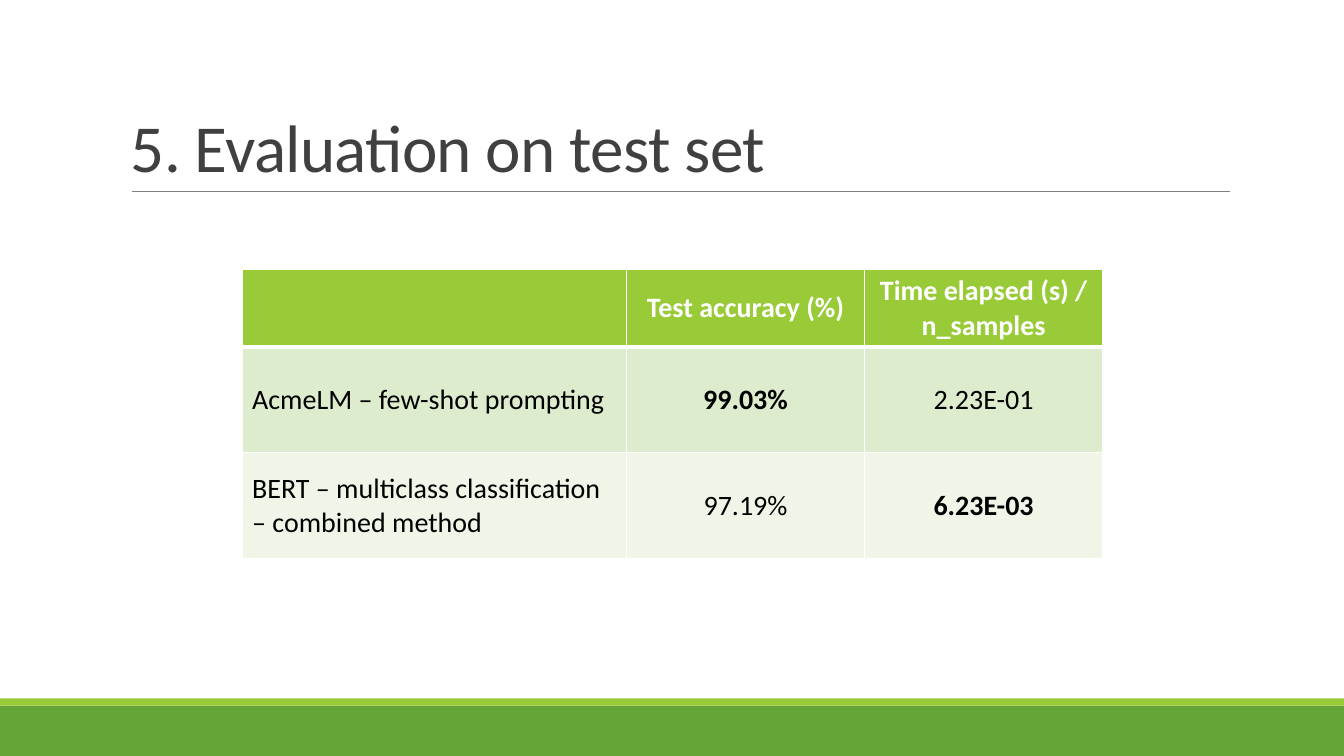
from lxml.etree import SubElement
from pptx import Presentation
from pptx.dml.color import RGBColor
from pptx.enum.shapes import MSO_CONNECTOR as LINE, MSO_SHAPE as SHAPE
from pptx.enum.text import MSO_ANCHOR as ANCHOR, PP_ALIGN as ALIGN
from pptx.oxml.ns import qn
from pptx.util import Cm, Pt

WHITE = RGBColor(0xFF, 0xFF, 0xFF)
BLACK = RGBColor(0, 0, 0)
DARK = RGBColor(0x40, 0x40, 0x40)
GRAY = RGBColor(0x80, 0x80, 0x80)
GREEN = RGBColor(0x63, 0xA5, 0x37)
LIME = RGBColor(0x99, 0xCB, 0x38)
BANDS = [LIME, RGBColor(0xDE, 0xEC, 0xCE), RGBColor(0xEF, 0xF6, 0xE8)]

FONT = "Calibri"
WIDE, HIGH = 33.87, 19.05

ROWS = [
    ["", "Test accuracy (%)", "Time elapsed (s) / n_samples"],
    ["AcmeLM – few-shot prompting", "99.03%", "2.23E-01"],
    ["BERT – multiclass classification – combined method", "97.19%", "6.23E-03"],
]
BEST = {(1, 1), (2, 2)}


def style(par, size, color, bold=False):
    for run in par.runs:
        run.font.name = FONT
        run.font.size = Pt(size)
        run.font.color.rgb = color
        run.font.bold = bold


def add_bar(slide, top, high, color):
    bar = slide.shapes.add_shape(SHAPE.RECTANGLE, 0, Cm(top), Cm(WIDE), Cm(high))
    bar.shadow.inherit = False
    bar.fill.solid()
    bar.fill.fore_color.rgb = color
    bar.line.fill.background()


def add_foot(slide, top):
    """Draw the thin lime bar at top and the green bar down to the slide's edge."""
    thin = 0.18
    add_bar(slide, top + thin, HIGH - top - thin, GREEN)
    add_bar(slide, top, thin, LIME)


def add_title(slide, text, left, top, wide, high):
    """Place the title on the bottom of its box, with a rule under it."""
    base = Cm(top + high)
    rule = slide.shapes.add_connector(
        LINE.STRAIGHT, Cm(left + 0.28), base, Cm(left + wide), base)
    rule.line.color.rgb = GRAY
    rule.line.width = Pt(0.5)
    SubElement(rule._element.spPr, qn("a:effectLst"))

    box = slide.shapes.add_textbox(Cm(left), Cm(top), Cm(wide), Cm(high))
    frame = box.text_frame
    frame.word_wrap = True
    frame.vertical_anchor = ANCHOR.BOTTOM
    frame.text = text
    par = frame.paragraphs[0]
    par.line_spacing = 0.85
    style(par, 48, DARK)
    par.runs[0].font._element.set("spc", "-50")


def add_edges(cell, widths):
    """Give the cell white borders; widths maps each side to points."""
    props = cell._tc.get_or_add_tcPr()
    for side, width in widths.items():
        edge = SubElement(props, qn(f"a:ln{side}"), w=str(Pt(width)))
        fill = SubElement(edge, qn("a:solidFill"))
        SubElement(fill, qn("a:srgbClr"), val=str(WHITE))


def add_grid(slide, left, top, widths, heights):
    shape = slide.shapes.add_table(
        len(heights), len(widths), Cm(left), Cm(top),
        Cm(sum(widths)), Cm(sum(heights)))
    table = shape.table
    for col, wide in zip(table.columns, widths):
        col.width = Cm(wide)
    for row, high in zip(table.rows, heights):
        row.height = Cm(high)

    for r, texts in enumerate(ROWS):
        head = r == 0
        for c, text in enumerate(texts):
            cell = table.cell(r, c)
            above = 3 if r == 1 else 1
            below = 3 if head else 1
            add_edges(cell, {"L": 1, "R": 1, "T": above, "B": below})
            cell.fill.solid()
            cell.fill.fore_color.rgb = BANDS[r]
            cell.vertical_anchor = ANCHOR.MIDDLE
            cell.text = text
            par = cell.text_frame.paragraphs[0]
            par.alignment = ALIGN.CENTER if c else ALIGN.LEFT
            style(par, 20, WHITE if head else BLACK, head or (r, c) in BEST)


def main():
    deck = Presentation()
    deck.slide_width, deck.slide_height = Cm(WIDE), Cm(HIGH)
    slide = deck.slides.add_slide(deck.slide_layouts[6])
    add_foot(slide, 17.6)
    add_title(slide, "5. Evaluation on test set", 3.05, 0.79, 27.95, 4.04)
    add_grid(slide, 6.1, 6.78, [9.69, 6, 6], [1.96, 2.67, 2.67])
    deck.save("out.pptx")


if __name__ == "__main__":
    main()
